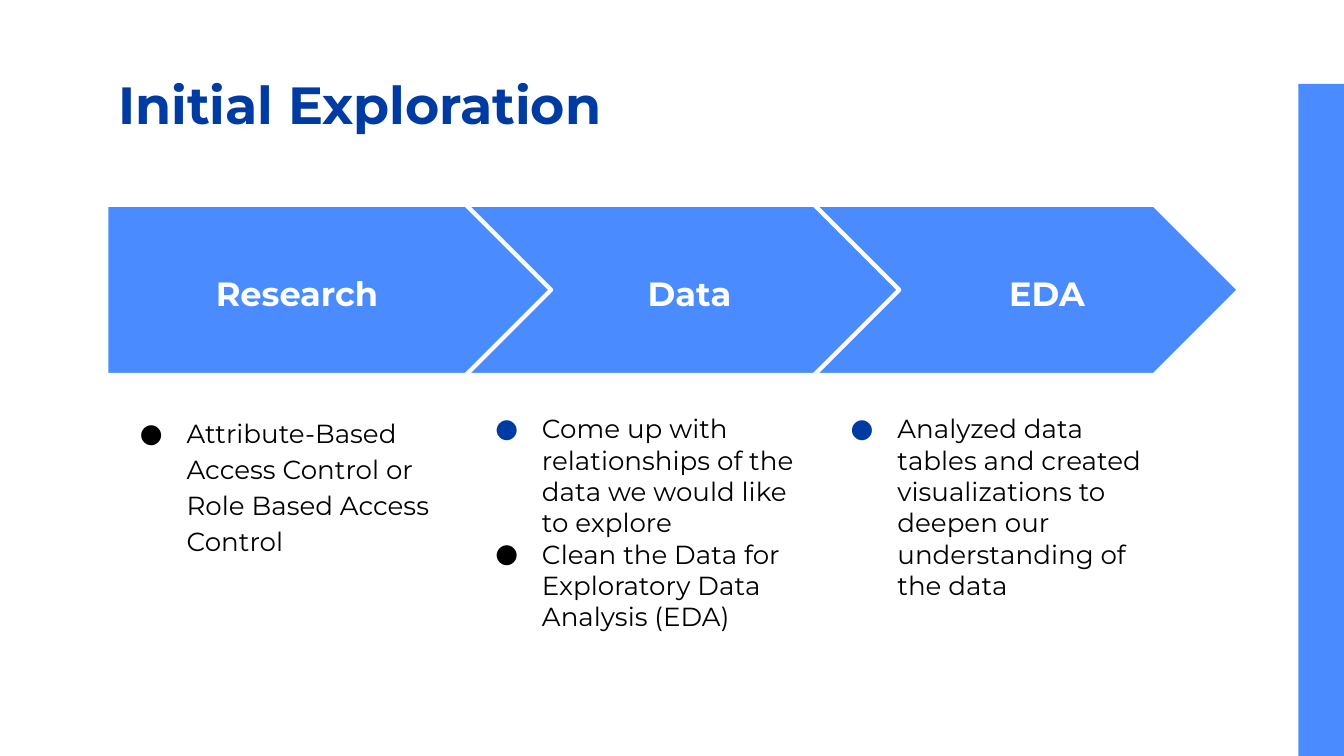
import pptx
import pptx.dml.color
import pptx.enum.shapes
import pptx.enum.text
import pptx.util
from lxml import etree

Pt = pptx.util.Pt
RGBColor = pptx.dml.color.RGBColor
Shape = pptx.enum.shapes.MSO_SHAPE
Align = pptx.enum.text.PP_ALIGN
Anchor = pptx.enum.text.MSO_ANCHOR

COLORS = {"blue": "4A8CFF", "navy": "003BA3", "white": "FFFFFF", "black": "000000"}
FONT = "Montserrat"
INSET = 7.2
COLUMN_LEFT, COLUMN_STEP = 56.9, 190.4

# arrow left, label left, line spacing, bullets as (bullet colour, text)
STEPS = [
    ("Research", 56.9, 90.7, 1.15, [
        ("black", "Attribute-Based Access Control or Role Based Access Control")]),
    ("Data", 243.4, 301, 1, [
        ("navy", "Come up with relationships of the data we would like to explore"),
        ("black", "Clean the Data for Exploratory Data Analysis (EDA)")]),
    ("EDA", 425.5, 492.5, 1, [
        ("navy", "Analyzed data tables and created visualizations to deepen our "
                 "understanding of the data")]),
]


def add_block(kind, left, top, width, height):
    shape = slide.shapes.add_shape(kind, Pt(left), Pt(top), Pt(width), Pt(height))
    shape.shadow.inherit = False
    shape.fill.solid()
    shape.fill.fore_color.rgb = RGBColor.from_string(COLORS["blue"])
    shape.line.fill.background()
    return shape


def add_text(box, texts, size, color, bold=False, **paragraph_format):
    """Add a text box at box (left, top, width, height); return its text frame."""
    frame = slide.shapes.add_textbox(*map(Pt, box)).text_frame
    frame.word_wrap = True
    for side in ("left", "top", "right", "bottom"):
        setattr(frame, f"margin_{side}", Pt(INSET))
    for index, text in enumerate(texts):
        paragraph = frame.paragraphs[0] if index == 0 else frame.add_paragraph()
        for name, value in paragraph_format.items():
            setattr(paragraph, name, value)
        run = paragraph.add_run()
        run.text = text
        for name, value in {"name": FONT, "size": Pt(size), "bold": bold}.items():
            setattr(run.font, name, value)
        run.font.color.rgb = RGBColor.from_string(COLORS[color])
    return frame


presentation = pptx.Presentation()
presentation.slide_width = Pt(720)
presentation.slide_height = Pt(405)
slide = presentation.slides.add_slide(presentation.slide_layouts[6])

add_block(Shape.RECTANGLE, 695.6, 45, 24.4, 360)

# Each arrow overlaps the one to its right, so the last is drawn first
for label, arrow_left, *rest in reversed(STEPS):
    arrow = add_block(Shape.PENTAGON, arrow_left, 109.7, 238.3, 91.2)
    arrow.adjustments[0] = 0.5
    arrow.line.width = Pt(2.25)
    arrow.line.color.rgb = RGBColor.from_string(COLORS["white"])

title = add_text((56.2, 30.2, 607, 51.1), ["Initial Exploration"], 28, "navy", bold=True)
title.vertical_anchor = Anchor.MIDDLE

for index, (label, arrow_left, label_left, spacing, bullets) in enumerate(STEPS):
    add_text((label_left, 139, 136.8, 36), [label], 18, "white", bold=True,
             alignment=Align.CENTER)
    column = (COLUMN_LEFT + index * COLUMN_STEP, 213.8, 191.5, 131)
    frame = add_text(column, [text for color, text in bullets], 14, "black",
                     line_spacing=spacing)
    for paragraph, (color, text) in zip(frame.paragraphs, bullets):
        properties = paragraph._p.get_or_add_pPr()
        properties.set("marL", str(Pt(36)))
        properties.set("indent", str(Pt(-25)))
        namespace = "{%s}" % properties.nsmap["a"]
        bullet_color = etree.SubElement(properties, namespace + "buClr")
        etree.SubElement(bullet_color, namespace + "srgbClr", val=COLORS[color])
        etree.SubElement(properties, namespace + "buFont", typeface=FONT)
        etree.SubElement(properties, namespace + "buChar", char="●")

presentation.save("out.pptx")
